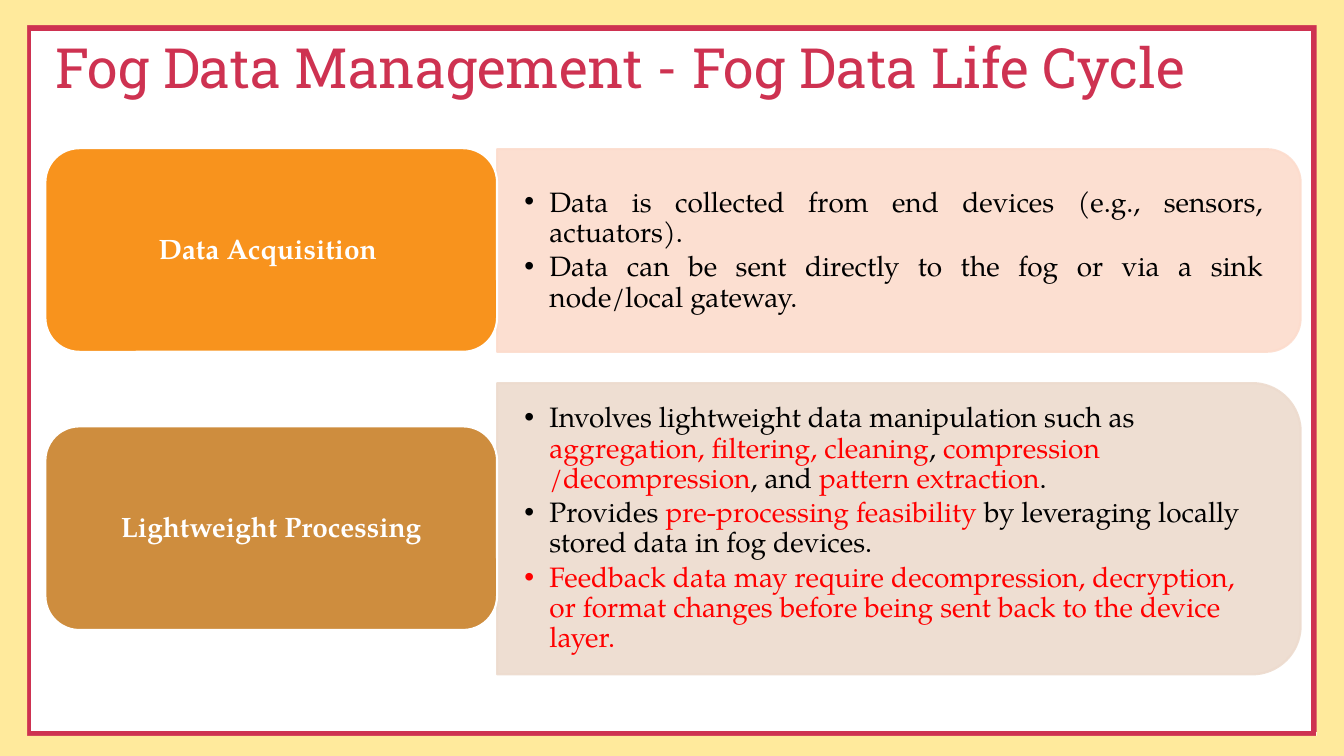
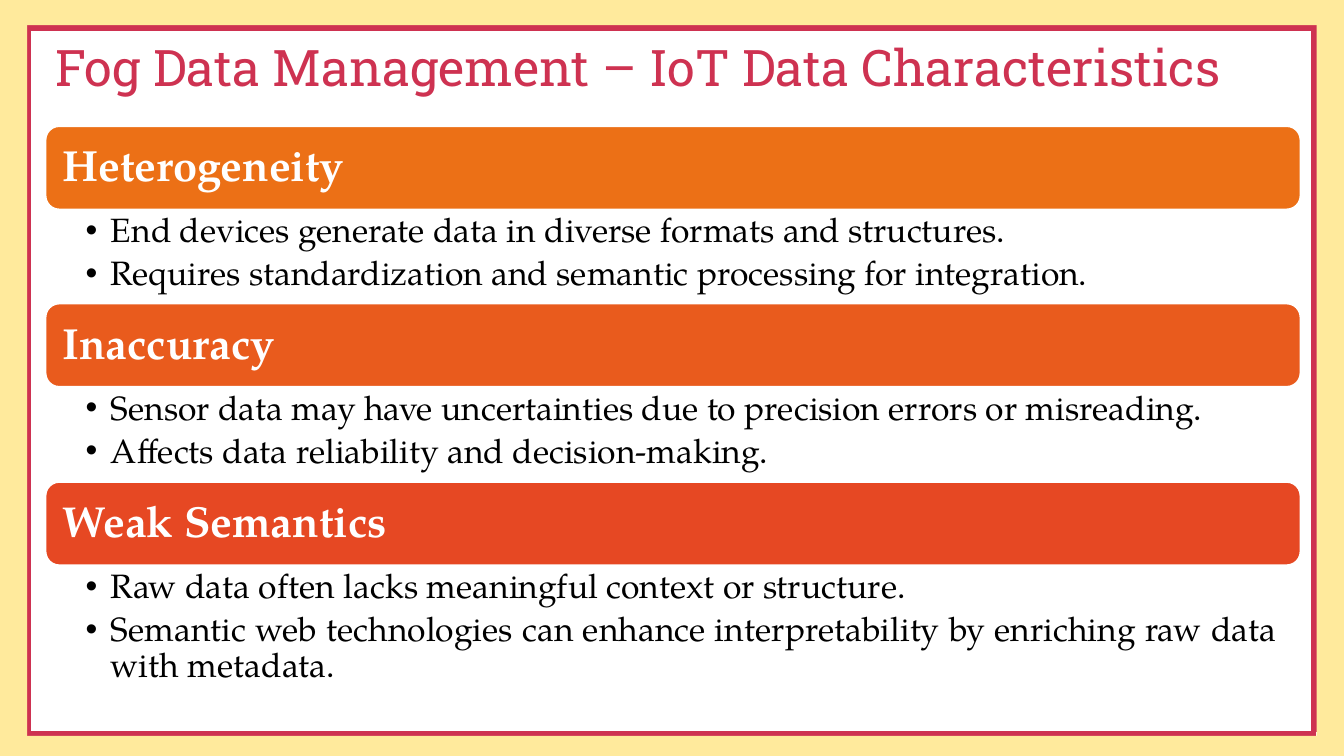
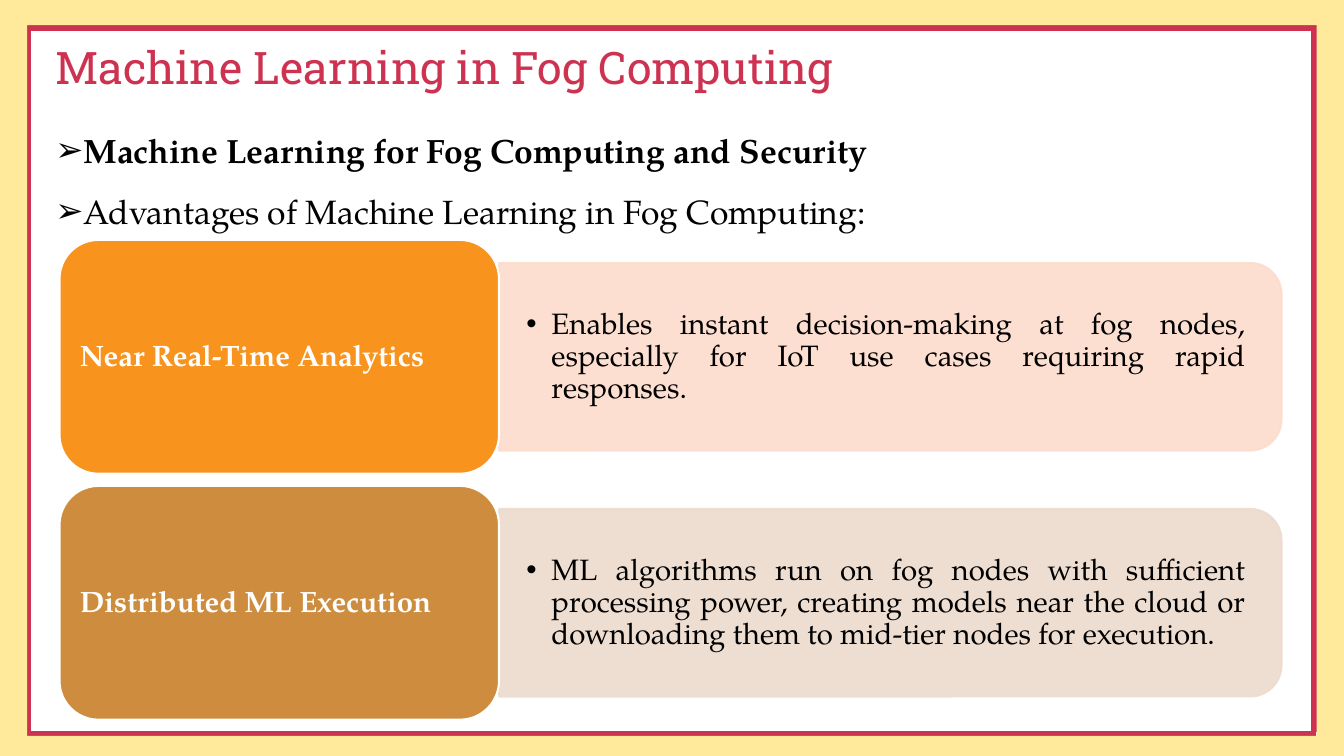
"""Build three slides on fog data management and machine learning."""
import pptx
import pptx.dml.color
import pptx.enum.shapes
import pptx.enum.text
import pptx.oxml.ns
import pptx.util
import lxml.etree

PX = 9144
RGB = pptx.dml.color.RGBColor
ROSE = RGB(0xCE, 0x32, 0x51)
CREAM = RGB(0xFF, 0xEA, 0x9C)
WHITE = RGB(0xFF, 0xFF, 0xFF)
BLACK = RGB(0, 0, 0)
RED = RGB(0xFF, 0, 0)
AMBER = RGB(0xF8, 0x93, 0x1D)
OCHRE = RGB(0xCE, 0x8D, 0x3E)
PEACH = RGB(0xFC, 0xDC, 0xCD)
SAND = RGB(0xED, 0xDB, 0xCE)
BARS = [RGB(0xEC, 0x70, 0x16), RGB(0xE9, 0x5B, 0x1D), RGB(0xE6, 0x48, 0x23)]
SERIF, SLAB = "TeX Gyre Pagella", "Roboto Slab"
KIND = pptx.enum.shapes.MSO_SHAPE
MID = pptx.enum.text.MSO_ANCHOR.MIDDLE
TOP = pptx.enum.text.MSO_ANCHOR.TOP
LEFT = pptx.enum.text.PP_ALIGN.LEFT
CENTER = pptx.enum.text.PP_ALIGN.CENTER
JUST = pptx.enum.text.PP_ALIGN.JUSTIFY
qn = pptx.oxml.ns.qn


def block(slide, kind, box, fill, edge=None, turn=0, alpha=None):
    """Add a filled shape, with an optional outline, turn and opacity."""
    shape = slide.shapes.add_shape(kind, *[PX * n for n in box])
    shape.shadow.inherit = False
    shape.rotation = turn
    shape.fill.solid()
    shape.fill.fore_color.rgb = fill
    if edge is None:
        shape.line.fill.background()
    else:
        shape.line.color.rgb = edge
        shape.line.width = pptx.util.Pt(1.5)
    if alpha:
        for tone in list(shape.element.spPr.iter(qn("a:srgbClr"))):
            lxml.etree.SubElement(tone, qn("a:alpha")).set("val", str(alpha * 1000))
    return shape


def write(box, lines, size, pad, anchor=MID, align=JUST, color=BLACK, bold=False,
          face=SERIF, space=0.9, after=0, mark=None):
    """Fill a box with lines; each line is a list of runs, every second one red."""
    frame = box.text_frame
    wide, high, right = pad
    form = {"word_wrap": True, "auto_size": pptx.enum.text.MSO_AUTO_SIZE.NONE,
            "vertical_anchor": anchor, "margin_left": PX * wide, "margin_right": PX * right,
            "margin_top": PX * high, "margin_bottom": PX * high}
    for key, val in form.items():
        setattr(frame, key, val)
    for row, line in enumerate(lines):
        para = frame.add_paragraph() if row else frame.paragraphs[0]
        if mark:
            props = para._p.get_or_add_pPr()
            props.set("marL", str(25 * PX))
            props.set("indent", str(-25 * PX))
            lxml.etree.SubElement(props, qn("a:buFont")).set("typeface", "Arial")
            lxml.etree.SubElement(props, qn("a:buChar")).set("char", mark)
        form = {"alignment": align, "line_spacing": space,
                "space_before": 0, "space_after": pptx.util.Pt(after * size)}
        for key, val in form.items():
            setattr(para, key, val)
        for spot, text in enumerate(line):
            if text:
                run = para.add_run()
                run.text = text
                form = {"name": face, "size": pptx.util.Pt(size), "bold": bold}
                for key, val in form.items():
                    setattr(run.font, key, val)
                run.font.color.rgb = RED if spot % 2 else color


deck = pptx.Presentation()
deck.slide_width, deck.slide_height = 1333 * PX, 750 * PX
layout = deck.slide_layouts[5]

slides = []
for text, size in [("Fog Data Management - Fog Data Life Cycle", 39.6),
                   ("Fog Data Management – IoT Data Characteristics", 36),
                   ("Machine Learning in Fog Computing", 32)]:
    slide = deck.slides.add_slide(layout)
    title = slide.shapes.title
    for key, val in {"left": 45, "top": 35, "width": 1245, "height": 69}.items():
        setattr(title, key, val * PX)
    write(title, [[text]], size, (10, 5, 10), align=LEFT, color=ROSE, face=SLAB)
    slides.append(slide)
cycle, traits, learn = slides

parts = []
for ends in [(26, 728, 1305, 728), (28, 28, 28, 730),
             (27, 28, 1306, 28), (1303, 24, 1303, 726)]:
    rule = cycle.shapes.add_connector(pptx.enum.shapes.MSO_CONNECTOR.STRAIGHT,
                                      *[PX * n for n in ends])
    rule.line.color.rgb = ROSE
    rule.line.width = pptx.util.Pt(4.5)
    lxml.etree.SubElement(rule.element.spPr, qn("a:effectLst"))
    parts.append(rule)
for band in [(0, 0, 1333, 25), (0, 730, 1333, 20),
             (1306, 25, 27, 705), (0, 25, 27, 705)]:
    parts.append(block(cycle, KIND.RECTANGLE, band, CREAM))
for num, part in enumerate(parts):
    part.element.xpath(".//p:cNvPr")[0].set("id", str(20 + num))
    layout.element.cSld.spTree.append(part.element)

intro = learn.shapes.add_textbox(45 * PX, 104 * PX, 1245 * PX, 130 * PX)
for row, text in enumerate(["Machine Learning for Fog Computing and Security",
                            "Advantages of Machine Learning in Fog Computing:"]):
    if row:
        intro = learn.shapes.add_textbox(45 * PX, 164 * PX, 1245 * PX, 70 * PX)
    write(intro, [[text]], 24, (10, 5, 10), anchor=TOP, bold=not row,
          space=1.5, mark="➢")

acquire = [["Data is collected from end devices (e.g., sensors, actuators)."],
           ["Data can be sent directly to the fog or via a sink node/local gateway."]]
process = [["Involves lightweight data manipulation such as ",
            "aggregation, filtering, cleaning", ", ", "compression /decompression",
            ", and ", "pattern extraction", "."],
           ["Provides ", "pre-processing feasibility ",
            "by leveraging locally stored data in fog devices."],
           ["", "Feedback data may require decompression, decryption, or format "
                "changes before being sent back to the device layer."]]
instant = [["Enables instant decision-making at fog nodes, especially for IoT use "
            "cases requiring rapid responses."]]
spread = [["ML algorithms run on fog nodes with sufficient processing power, creating "
           "models near the cloud or downloading them to mid-tier nodes for execution."]]

sets = [
    (cycle, (45, 147, 448, 202), 276, 797, 20, 8, CENTER,
     [("Data Acquisition ", 201, JUST, acquire),
      ("Lightweight Processing", 289, LEFT, process)]),
    (learn, (59, 238, 436, 232), 244, 776, 21, 9, JUST,
     [("Near Real-Time Analytics", 186, JUST, instant),
      ("Distributed ML Execution", 186, JUST, spread)]),
]
for slide, (left, first, wide, high), step, span, size, pad, align, cards in sets:
    for row, (name, tall, flow, lines) in enumerate(cards):
        top = first + step * row
        mid = top + high // 2
        edge = left + wide
        tint = (PEACH, SAND)[row]
        block(slide, KIND.ROUND_2_SAME_RECTANGLE,
              (edge + (span - tall) // 2, mid - span // 2, tall, span),
              tint, tint, turn=90, alpha=90)
        trim = round(tall * 0.049)
        area = (edge, mid - tall // 2 + trim, span - trim, tall - 2 * trim)
        note = slide.shapes.add_textbox(*[PX * n for n in area])
        write(note, lines, size, (27, 14, 27), align=flow, after=0.15, mark="•")
        label = block(slide, KIND.ROUNDED_RECTANGLE, (left, top, wide, high),
                      (AMBER, OCHRE)[row], WHITE)
        write(label, [[name]], size, (pad, 4, pad), align=align, color=WHITE,
              bold=True, after=0.35)

topics = [
    ("Heterogeneity", 93,
     [["End devices generate data in diverse formats and structures."],
      ["Requires standardization and semantic processing for integration."]]),
    ("Inaccuracy", 93,
     [["Sensor data may have uncertainties due to precision errors or misreading."],
      ["Affects data reliability and decision-making."]]),
    ("Weak Semantics", 130,
     [["Raw data often lacks meaningful context or structure."],
      ["Semantic web technologies can enhance interpretability by enriching raw data "
       "with metadata."]]),
]
for row, (name, high, lines) in enumerate(topics):
    top = 125 + 353 * row // 2
    bar = block(traits, KIND.ROUNDED_RECTANGLE, (45, top, 1245, 83), BARS[row], WHITE)
    write(bar, [[name]], 31, (13, 13, 13), color=WHITE, bold=True, after=0.35)
    note = traits.shapes.add_textbox(45 * PX, (top + 83) * PX, 1245 * PX, high * PX)
    write(note, lines, 24, (40, 4, 24), anchor=TOP, after=0.2, mark="•")

deck.save("out.pptx")
